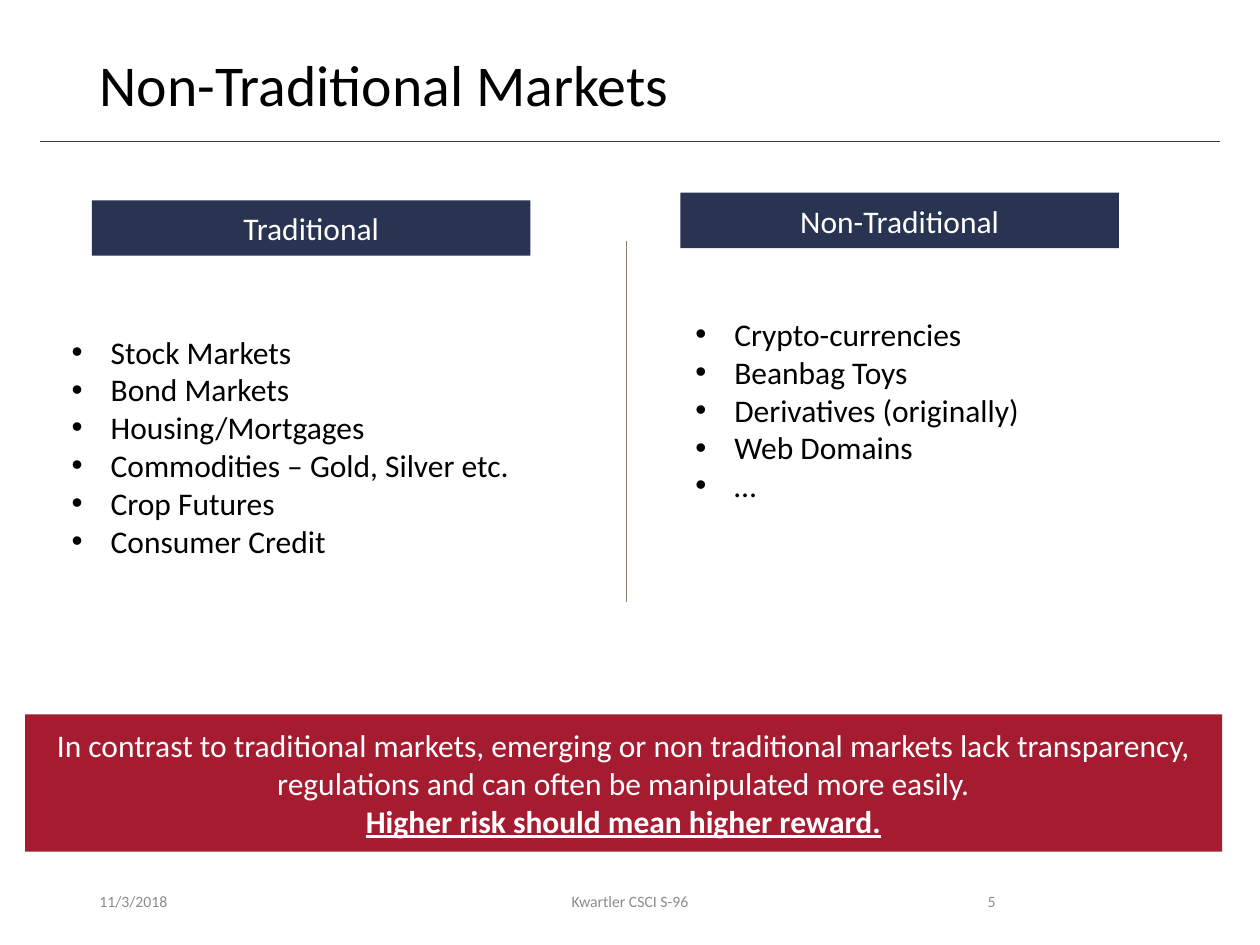
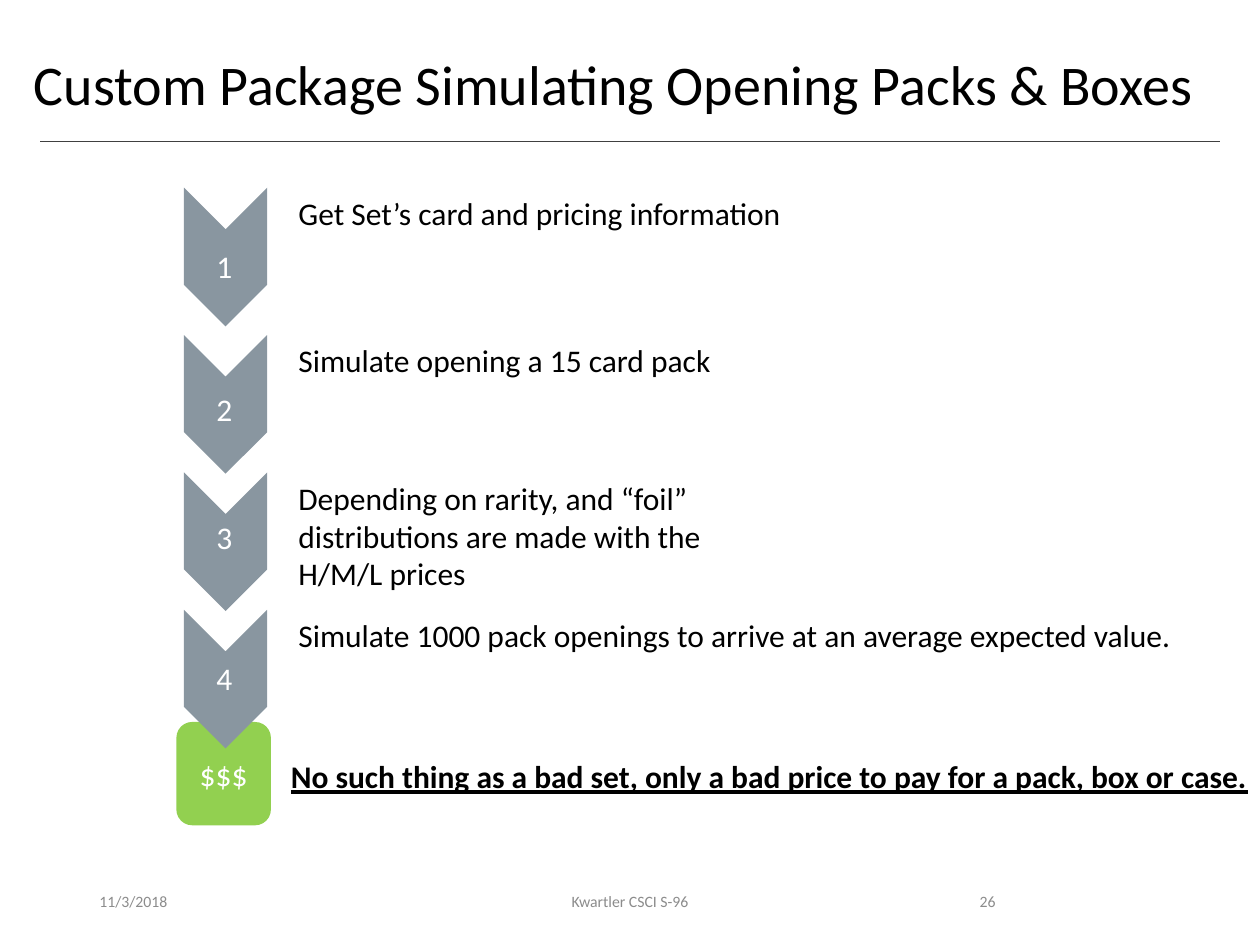
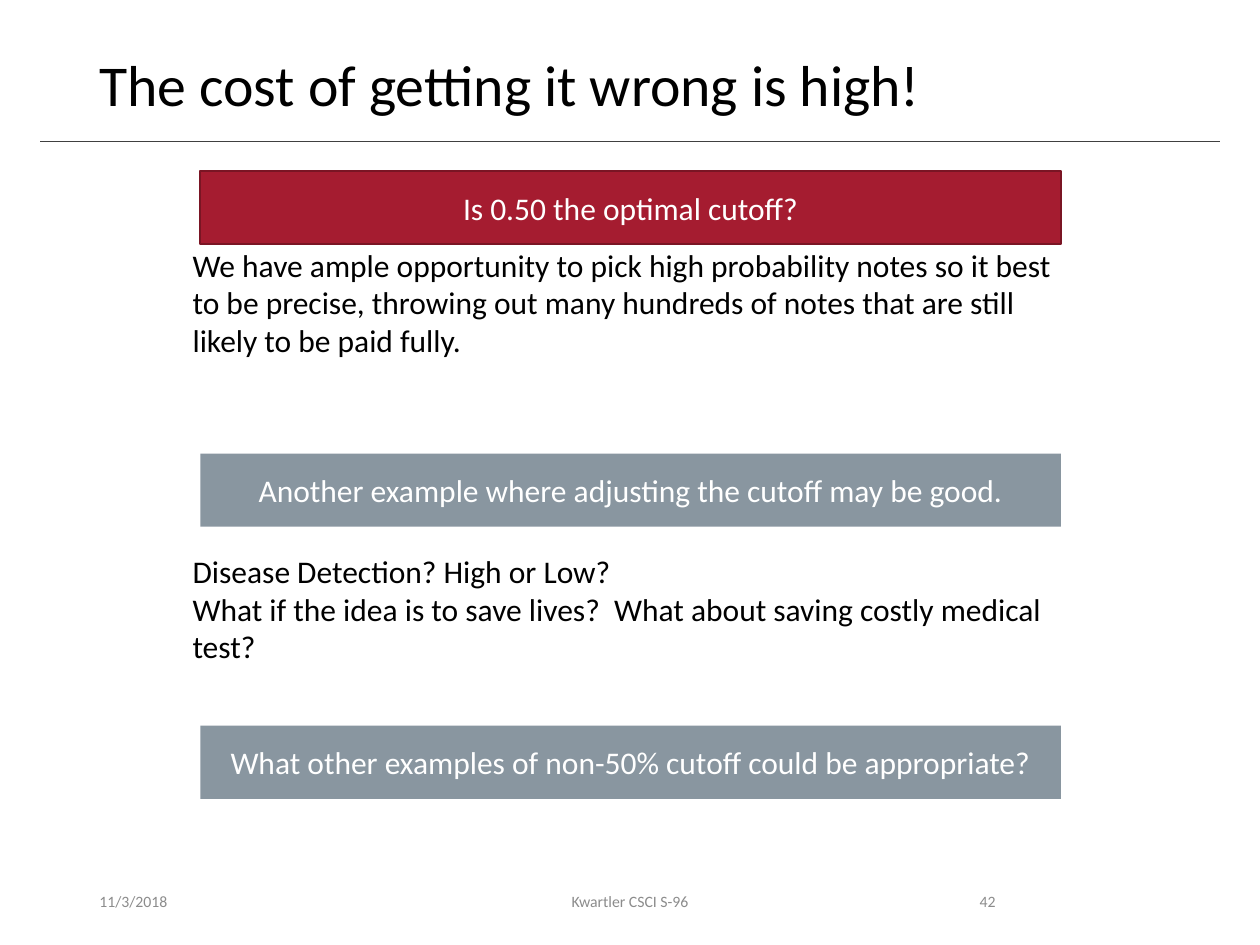
import pptx
import pptx.dml.color
import pptx.enum.shapes
import pptx.enum.text
import pptx.oxml
import pptx.oxml.ns
import pptx.util

Inches = pptx.util.Inches
Pt = pptx.util.Pt
Align = pptx.enum.text.PP_ALIGN
Anchor = pptx.enum.text.MSO_ANCHOR
Shape = pptx.enum.shapes.MSO_SHAPE

FONT = "Calibri"
BLACK, WHITE = "000000", "FFFFFF"
CRIMSON, DARK_CRIMSON = "A51C30", "7A1524"
NAVY, SLATE, GREEN = "293352", "8996A0", "92D050"
RULE, DIVIDER, FOOTER = "404040", "8C8179", "8C8C8C"
BULLET_INDENT = 0.31


def rgb(value):
    return pptx.dml.color.RGBColor.from_string(value)


def add_bullet(para):
    properties = para._p.get_or_add_pPr()
    indent = Inches(BULLET_INDENT)
    properties.set("marL", str(indent))
    properties.set("indent", str(-indent))
    for tag, name, value in (("buFont", "typeface", "Arial"), ("buChar", "char", "•")):
        element = pptx.oxml.parse_xml(
            f'<a:{tag} {pptx.oxml.ns.nsdecls("a")} {name}="{value}"/>')
        properties.append(element)


def write(frame, text, size=18, color=BLACK, align=Align.LEFT, strong=False,
          bullet=False, line_spacing=None):
    """Write one paragraph, using the frame's first one while it is empty."""
    para = frame.paragraphs[0]
    if para.runs:
        para = frame.add_paragraph()
    para.alignment = align
    if line_spacing:
        para.line_spacing = line_spacing
    if bullet:
        add_bullet(para)
    span = para.add_run()
    span.text = text
    span.font.name = FONT
    span.font.size = Pt(size)
    span.font.color.rgb = rgb(color)
    if strong:
        span.font.bold = True
        span.font.underline = True


def add_text(page, area, lines, wrap=True, grow=True, anchor=Anchor.TOP, **style):
    frame = page.shapes.add_textbox(*map(Inches, area)).text_frame
    frame.word_wrap = wrap
    frame.vertical_anchor = anchor
    if grow:
        frame.auto_size = pptx.enum.text.MSO_AUTO_SIZE.SHAPE_TO_FIT_TEXT
    for line in lines:
        write(frame, line, **style)


def add_block(page, area, fill, lines=(), kind=Shape.RECTANGLE, outline=None):
    block = page.shapes.add_shape(kind, *map(Inches, area))
    block.shadow.inherit = False
    block.fill.solid()
    block.fill.fore_color.rgb = rgb(fill)
    if outline:
        block.line.color.rgb = rgb(outline)
        block.line.width = Pt(1)
    else:
        block.line.fill.background()
    block.text_frame.word_wrap = True
    block.text_frame.vertical_anchor = Anchor.MIDDLE
    for line in lines:
        write(block.text_frame, line, color=WHITE, align=Align.CENTER)
    return block


def add_line(page, start, end, color):
    line = page.shapes.add_connector(
        pptx.enum.shapes.MSO_CONNECTOR.STRAIGHT, *map(Inches, (*start, *end)))
    line.line.color.rgb = rgb(color)
    line.line.width = Pt(0.5)
    line._element.spPr.append(
        pptx.oxml.parse_xml(f'<a:effectLst {pptx.oxml.ns.nsdecls("a")}/>'))


def add_page(deck, title, number, title_left=0.69, title_width=8.62, title_size=33):
    """Add a blank slide with the shared title, rule and footer."""
    page = deck.slides.add_slide(deck.slide_layouts[6])
    add_line(page, (0.32, 1.12), (9.68, 1.12), RULE)
    add_text(page, (title_left, 0.4, title_width, 0.65), [title], grow=False,
             size=title_size, line_spacing=0.9)
    footers = (
        (0.69, 2.25, "11/3/2018", Align.LEFT),
        (3.31, 3.38, "Kwartler CSCI S-96", Align.CENTER),
        (7.06, 0.94, str(number), Align.RIGHT),
    )
    for left, width, text, align in footers:
        add_text(page, (left, 6.95, width, 0.4), [text], grow=False,
                 anchor=Anchor.MIDDLE, size=9, color=FOOTER, align=align)
    return page


def add_step(page, number, top, number_top, text, width, height=0.4, wrap=False):
    chevron = add_block(page, (1.24, top + 0.22, 1.1, 0.66), SLATE, kind=Shape.CHEVRON)
    chevron.rotation = 90
    add_text(page, (2.27, top, width, height), [text], wrap=wrap)
    add_text(page, (1.62, number_top, 0.33, 0.4), [str(number)], wrap=False, color=WHITE)


def build_markets(deck):
    page = add_page(deck, "Non-Traditional Markets", 5)
    banner = add_block(page, (0.2, 5.67, 9.5, 1.09), CRIMSON, [
        "In contrast to traditional markets, emerging or non traditional markets "
        "lack transparency, regulations and can often be manipulated more easily."])
    write(banner.text_frame, "Higher risk should mean higher reward.",
          color=WHITE, align=Align.CENTER, strong=True)
    add_line(page, (4.97, 1.91), (4.97, 4.78), DIVIDER)
    markets = (
        ("Traditional", (0.73, 1.59), (0.47, 2.59, 3.72, 1.92),
         ["Stock Markets", "Bond Markets", "Housing/Mortgages",
          "Commodities – Gold, Silver etc.", "Crop Futures", "Consumer Credit"]),
        ("Non-Traditional", (5.4, 1.53), (5.42, 2.45, 2.8, 1.62),
         ["Crypto-currencies", "Beanbag Toys", "Derivatives (originally)",
          "Web Domains", "…"]),
    )
    for heading, corner, list_area, examples in markets:
        add_block(page, (*corner, 3.48, 0.44), NAVY, [heading])
        add_text(page, list_area, examples, wrap=False, bullet=True)


def build_simulation(deck):
    page = add_page(deck, "Custom Package Simulating Opening Packs & Boxes", 26,
                    title_left=0.17, title_width=9.53, title_size=32)
    add_block(page, (1.4, 5.73, 0.75, 0.82), GREEN, ["$$$"], kind=Shape.ROUNDED_RECTANGLE)
    add_step(page, 1, 1.49, 1.91, "Get Set’s card and pricing information", 4.08)
    add_step(page, 2, 2.66, 3.05, "Simulate opening a 15 card pack", 3.52)
    add_step(page, 3, 3.75, 4.06, "Depending on rarity, and “foil” distributions "
             "are made with the H/M/L prices", 3.56, height=1.01, wrap=True)
    add_step(page, 4, 4.84, 5.18, "Simulate 1000 pack openings to arrive at an "
             "average expected value.", 7.47)
    add_text(page, (2.21, 5.96, 7.86, 0.4),
             ["No such thing as a bad set, only a bad price to pay for a pack, box or case."],
             wrap=False, strong=True)


def build_cutoff(deck):
    page = add_page(deck, "The cost of getting it wrong is high!", 42)
    answers = (
        (1.9, ["We have ample opportunity to pick high probability notes so it best to be "
               "precise, throwing out many hundreds of notes that are still likely to be "
               "paid fully."]),
        (4.33, ["Disease Detection? High or Low?",
                "What if the idea is to save lives?  What about saving costly medical test?"]),
    )
    for top, lines in answers:
        add_text(page, (1.43, top, 7.15, 1.01), lines)
    questions = (
        (1.36, CRIMSON, DARK_CRIMSON, "Is 0.50 the optimal cutoff?"),
        (3.6, SLATE, None, "Another example where adjusting the cutoff may be good."),
        (5.76, SLATE, None, "What other examples of non-50% cutoff could be appropriate?"),
    )
    for top, fill, outline, question in questions:
        add_block(page, (1.59, top, 6.83, 0.58), fill, [question], outline=outline)


def main():
    deck = pptx.Presentation()
    deck.slide_width = Inches(10)
    deck.slide_height = Inches(7.5)
    build_markets(deck)
    build_simulation(deck)
    build_cutoff(deck)
    deck.save("out.pptx")


if __name__ == "__main__":
    main()
